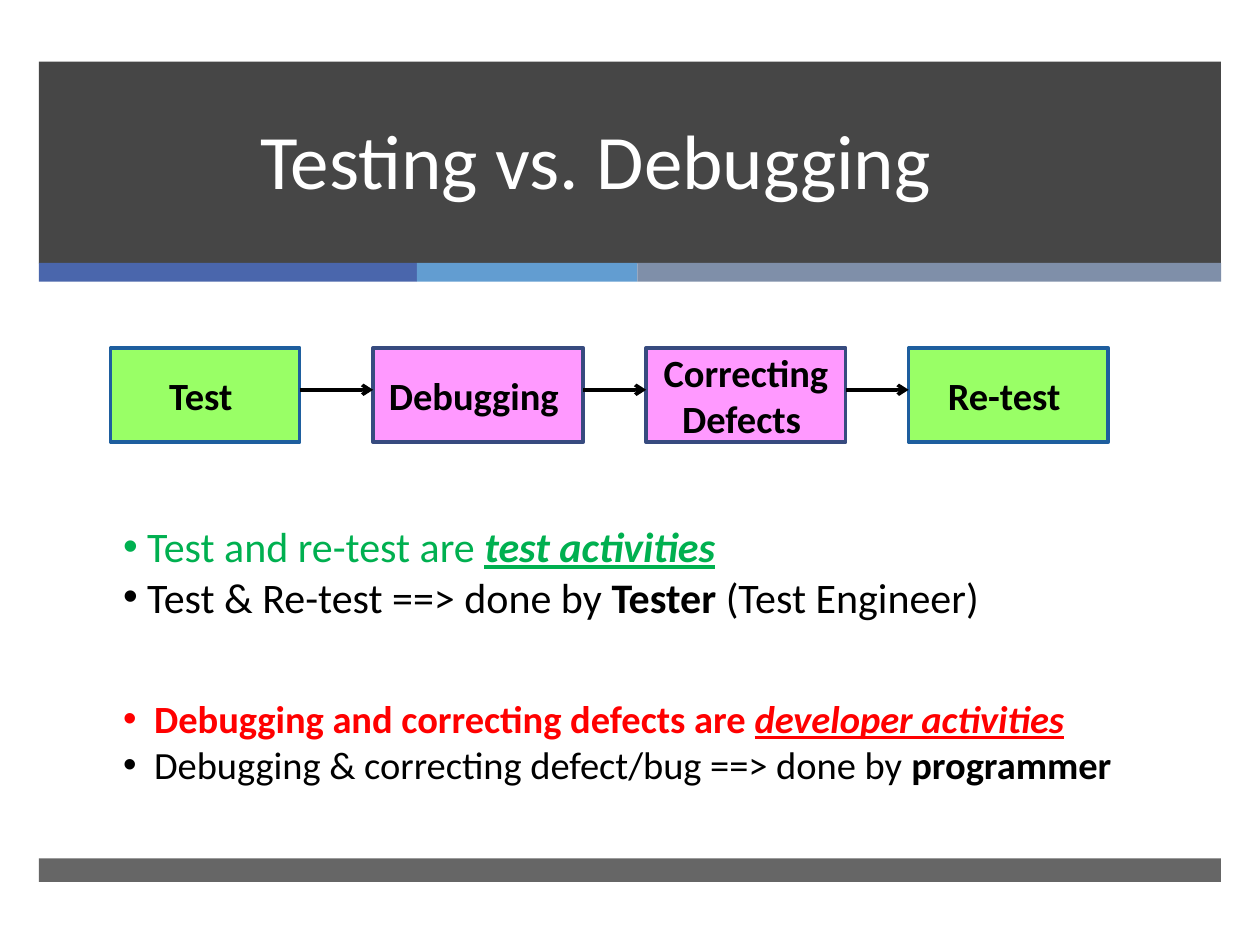
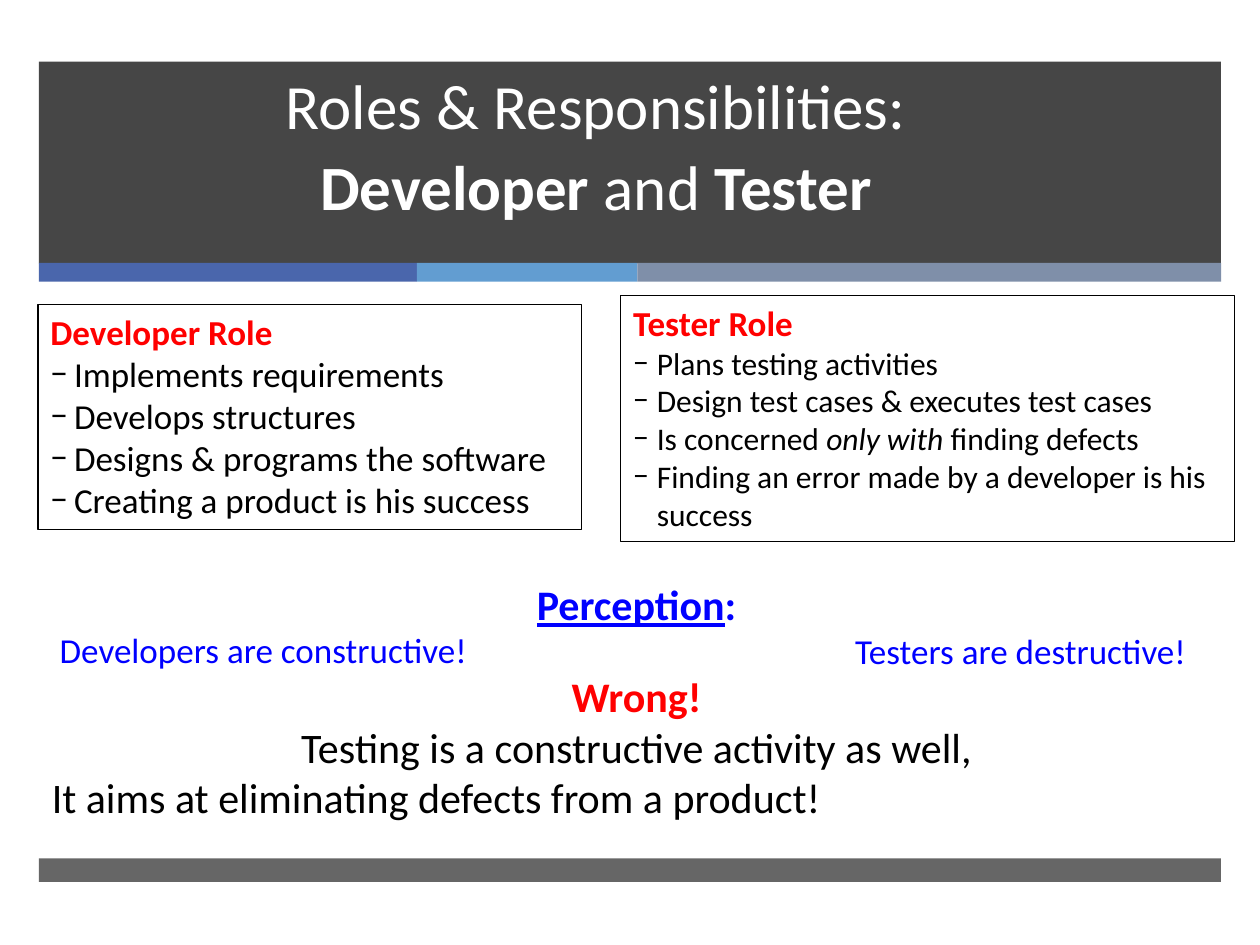
import lxml.etree
import pptx
import pptx.dml.color
import pptx.enum.shapes
import pptx.enum.text
import pptx.oxml.ns
import pptx.util

Pt = pptx.util.Pt
ALIGN = pptx.enum.text.PP_ALIGN
ANCHOR = pptx.enum.text.MSO_ANCHOR

# Shared style
FONT = "Calibri"
BULLET_FONTS = {"•": "Arial", "−": FONT}
BLACK, WHITE, RED, BLUE, GREEN = "000000", "FFFFFF", "FF0000", "0000FF", "00B050"
DARK = "262626"
TEST_FILL, TEST_LINE = "99FF66", "1E5E9E"
DEVELOPER_FILL, DEVELOPER_LINE = "FF99FF", "374B7F"
BAND_LEFT, BAND_WIDTH = 22.25, 675.5
STRIPES = [(216, "4A66AC"), (126, "629DD1"), (333.5, "7F8FA9")]
LINE_BREAK = "\n"


def color_of(hex_text):
    return pptx.dml.color.RGBColor.from_string(hex_text)


def add_child(parent, tag, **attributes):
    child = lxml.etree.SubElement(parent, pptx.oxml.ns.qn(tag))
    for name, value in attributes.items():
        child.set(name, str(value))
    return child


# Text
def add_run(paragraph, text, size=20, color=BLACK, bold=False, italic=False, underline=False):
    run = paragraph.add_run()
    run.text = text
    font = run.font
    font.name, font.size = FONT, Pt(size)
    font.bold, font.italic, font.underline = bold, italic, underline
    font.color.rgb = color_of(color)


def add_paragraph(frame, *pieces, align=ALIGN.LEFT, bullet=None, indent=0, hanging=0,
                  spacing=None, **style):
    """Each piece is a text, or a text with what differs from the paragraph's style."""
    paragraph = frame.paragraphs[0]
    if paragraph.runs:
        paragraph = frame.add_paragraph()
    paragraph.alignment = align
    if spacing:
        paragraph.line_spacing = Pt(spacing)
    properties = paragraph._p.get_or_add_pPr()
    properties.set("marL", str(Pt(indent + hanging)))
    properties.set("indent", str(-Pt(hanging)))
    if bullet:
        add_child(properties, "a:buFont", typeface=BULLET_FONTS[bullet])
        add_child(properties, "a:buChar", char=bullet)
    for piece in pieces:
        if piece == LINE_BREAK:
            paragraph.add_line_break()
            continue
        text, changes = (piece, {}) if isinstance(piece, str) else piece
        add_run(paragraph, text, **{**style, **changes})


def add_text_box(slide, left, top, width, height):
    frame = slide.shapes.add_textbox(Pt(left), Pt(top), Pt(width), Pt(height)).text_frame
    frame.word_wrap = True
    return frame


# Shapes
def add_box(slide, left, top, width, height, fill=None, line=None, weight=0.75, opacity=None):
    box = slide.shapes.add_shape(pptx.enum.shapes.MSO_SHAPE.RECTANGLE,
                                 Pt(left), Pt(top), Pt(width), Pt(height))
    box.shadow.inherit = False
    if fill:
        box.fill.solid()
        box.fill.fore_color.rgb = color_of(fill)
    else:
        box.fill.background()
    if opacity:
        fill_color = box.element.spPr.find(".//" + pptx.oxml.ns.qn("a:srgbClr"))
        add_child(fill_color, "a:alpha", val=opacity * 1000)
    if line:
        box.line.color.rgb = color_of(line)
        box.line.width = Pt(weight)
    else:
        box.line.fill.background()
    box.text_frame.word_wrap = True
    return box


def add_arrow(slide, start, end, y):
    arrow = slide.shapes.add_connector(pptx.enum.shapes.MSO_CONNECTOR.STRAIGHT,
                                       Pt(start), Pt(y), Pt(end), Pt(y))
    arrow.line.color.rgb = color_of(BLACK)
    arrow.line.width = Pt(2)
    add_child(arrow.line._get_or_add_ln(), "a:tailEnd", type="arrow")
    add_child(arrow._element.spPr, "a:effectLst")


def add_bands_to_layout(slide):
    """Draw the bands and move them to the layout, where both slides use them."""
    bands = [add_box(slide, BAND_LEFT, 35.25, BAND_WIDTH, 115.25, DARK, opacity=85)]
    left = BAND_LEFT
    for width, color in STRIPES:
        bands.append(add_box(slide, left, 150.25, width, 10.75, color))
        left += width
    bands.append(add_box(slide, BAND_LEFT, 490.5, BAND_WIDTH, 13.5, DARK, opacity=70))
    tree = slide.slide_layout.shapes.element
    for number, band in enumerate(bands):
        band.element.nvSpPr.cNvPr.set("id", str(100 + number))
        tree.insert(2 + number, band.element)


def add_title(slide, top, size, *pieces):
    title = slide.shapes.title
    title.left, title.top, title.width, title.height = Pt(33), Pt(top), Pt(615), Pt(85.5)
    frame = title.text_frame
    frame.auto_size = pptx.enum.text.MSO_AUTO_SIZE.NONE
    frame.vertical_anchor = ANCHOR.BOTTOM
    add_paragraph(frame, *pieces, align=ALIGN.CENTER, spacing=46, size=size, color=WHITE)


def add_role_box(slide, left, top, width, height, heading, duties, size):
    frame = add_box(slide, left, top, width, height, line=BLACK).text_frame
    frame.vertical_anchor = ANCHOR.TOP
    add_paragraph(frame, heading, color=RED, bold=True)
    for duty in duties:
        add_paragraph(frame, *duty, bullet="−", hanging=13.5, size=size)


# Slides
def build_debugging_slide(slide):
    add_title(slide, 35.5, 44, "Testing vs. Debugging")

    # Process flow
    steps = [("Test ", 63.25, 108, TEST_FILL, TEST_LINE),
             ("Debugging ", 213.25, 120, DEVELOPER_FILL, DEVELOPER_LINE),
             ("Correcting Defects ", 369.25, 114, DEVELOPER_FILL, DEVELOPER_LINE),
             ("Re-test ", 519.25, 114, TEST_FILL, TEST_LINE)]
    for name, left, width, fill, line in steps:
        frame = add_box(slide, left, 198.75, width, 54, fill, line, weight=2).text_frame
        frame.vertical_anchor = ANCHOR.MIDDLE
        add_paragraph(frame, name, align=ALIGN.CENTER, size=22, bold=True)
    for (_, left, width, *_), (_, next_left, *_) in zip(steps, steps[1:]):
        add_arrow(slide, left + width, next_left, 222.75)

    # Who does what
    strong = {"bold": True}
    stressed = {"italic": True, "underline": True}
    tester = add_text_box(slide, 63.25, 294, 510, 65.5)
    tester_style = {"bullet": "•", "hanging": 13.75, "size": 24}
    add_paragraph(tester, "Test and re-test are ", ("test activities", {**strong, **stressed}),
                  color=GREEN, **tester_style)
    add_paragraph(tester, "Test & Re-test ==> done by ", ("Tester", strong),
                  " (Test Engineer)", **tester_style)

    developer = add_text_box(slide, 63.25, 393.75, 642, 87)
    developer_style = {"bullet": "•", "hanging": 17.75, "size": 22}
    add_paragraph(developer, "Debugging and correcting defects are ",
                  ("developer activities", stressed), color=RED, bold=True, **developer_style)
    add_paragraph(developer, "Debugging & correcting defect/bug ==> done by ",
                  ("programmer", strong), **developer_style)


def build_roles_slide(slide):
    strong = {"bold": True}
    add_title(slide, 45.5, 36, "Roles & Responsibilities:", LINE_BREAK,
              ("Developer", strong), " and ", ("Tester", strong))

    # Roles
    add_role_box(slide, 21.75, 174, 310.5, 128.5, "Developer Role",
                 [["Implements requirements"],
                  ["Develops structures"],
                  ["Designs & programs the software"],
                  ["Creating a product is his success"]], size=20)
    add_role_box(slide, 354.75, 168.75, 350.5, 140.5, "Tester Role",
                 [["Plans testing activities"],
                  ["Design test cases & executes test cases"],
                  ["Is concerned ", ("only with ", {"italic": True}), "finding defects"],
                  ["Finding an error made by a developer is his success"]], size=18)

    # Perception, with its second half set at the right of the same line
    frame = add_text_box(slide, 22.5, 327, 682.5, 152.5)
    add_paragraph(frame, ("Perception", {"underline": True}), ":",
                  align=ALIGN.CENTER, size=24, color=BLUE, bold=True)
    add_paragraph(frame, "Developers are constructive!", indent=4.5, color=BLUE)
    add_paragraph(frame, "Wrong!", align=ALIGN.CENTER, size=24, color=RED, bold=True)
    add_paragraph(frame, "Testing is a constructive activity as well,",
                  align=ALIGN.CENTER, size=24)
    add_paragraph(frame, "It aims at eliminating defects from a product!", size=24)
    testers = add_text_box(slide, 481.5, 356.25, 223.5, 31.5)
    add_paragraph(testers, "Testers are destructive!", color=BLUE)


def main():
    presentation = pptx.Presentation()
    presentation.slide_width, presentation.slide_height = Pt(720), Pt(540)
    title_only = presentation.slide_layouts[5]
    debugging_slide = presentation.slides.add_slide(title_only)
    roles_slide = presentation.slides.add_slide(title_only)
    add_bands_to_layout(debugging_slide)
    build_debugging_slide(debugging_slide)
    build_roles_slide(roles_slide)
    presentation.save("out.pptx")


if __name__ == "__main__":
    main()
